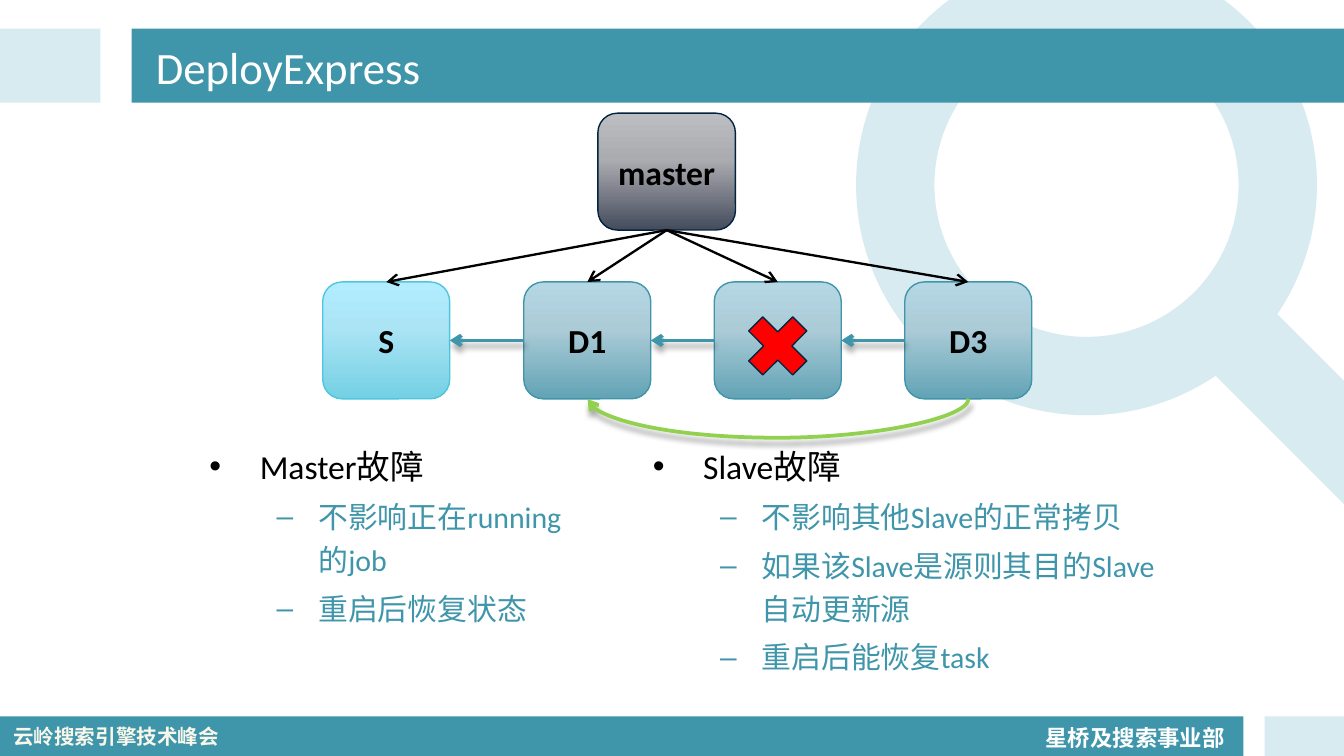
from copy import deepcopy

from lxml import etree
from pptx import Presentation
from pptx.dml.color import RGBColor
from pptx.enum.shapes import MSO_CONNECTOR, MSO_SHAPE
from pptx.enum.text import MSO_ANCHOR, PP_ALIGN
from pptx.oxml.ns import qn
from pptx.util import Cm, Pt

RECT, ROUNDED = MSO_SHAPE.RECTANGLE, MSO_SHAPE.ROUNDED_RECTANGLE
DONUT, CROSS = MSO_SHAPE.DONUT, MSO_SHAPE.MATH_MULTIPLY
STRAIGHT, CURVE = MSO_CONNECTOR.STRAIGHT, MSO_CONNECTOR.CURVE
LEFT, CENTER = PP_ALIGN.LEFT, PP_ALIGN.CENTER
TOP, MIDDLE = MSO_ANCHOR.TOP, MSO_ANCHOR.MIDDLE
SITE_TOP, SITE_LEFT, SITE_BOTTOM, SITE_RIGHT = range(4)

COLORS = {
    "teal": "3F95AA", "pale": "D7EBF0", "white": "FFFFFF", "cream": "F9F7EA",
    "black": "000000", "navy": "022440", "cyan": "4EC6DE", "red": "FF0000",
    "green": "92D050",
}
GRADIENTS = {
    "source": ("B2EDFF", "AAE4F5", "74D0E4"),
    "copy": ("B5D7E4", "ABCBD7", "62A3B5"),
    "master": ("BBBDC1", "ABACB0", "444B5C"),
}
STOPS = (0, 0.4, 1)

# Content, lengths in cm
TITLE = "DeployExpress"
BARS = [
    (0, 13.54, 23.5, 0.75, "teal"),
    (23.9, 13.54, 1.5, 0.75, "pale"),
    (0, 0.54, 1.9, 1.4, "pale"),
    (2.49, 0.54, 22.91, 1.4, "teal"),
]
COPIES = ["D1", None, "D3"]  # the failed copy carries a cross instead of a label
NODE_TOP, NODE_WIDTH, NODE_HEIGHT = 5.33, 2.4, 2.21
FIRST_COPY, COPY_STEP = 9.9, 3.6
SAG, THIN = 0.74, 0.01
FAULTS = [
    ((3.71, 8.15, 7.19, 3.99), "Master故障",
     ["不影响正在running的job", "重启后恢复状态"]),
    ((12.09, 8.15, 10.21, 5), "Slave故障",
     ["不影响其他Slave的正常拷贝", "如果该Slave是源则其目的Slave自动更新源",
      "重启后能恢复task"]),
]

deck = Presentation()
deck.slide_width, deck.slide_height = Cm(25.4), Cm(14.29)
page = deck.slides.add_slide(deck.slide_layouts[5])


def rgb(name):
    return RGBColor.from_string(COLORS[name])


def lengths(values):
    return [Cm(value) for value in values]


def write(para, text, size, color, font="Calibri", bold=False, align=LEFT, spacing=None):
    para.alignment = align
    para.line_spacing = spacing
    span = para.add_run()
    span.text = text
    span.font.name, span.font.size, span.font.bold = font, Pt(size), bold
    span.font.color.rgb = rgb(color)


def add_box(place, wrap=True):
    box = page.shapes.add_textbox(*lengths(place))
    box.text_frame.word_wrap = wrap
    box.text_frame.vertical_anchor = TOP
    return box.text_frame


def add_shape(kind, place, fill=None, line=None):
    shape = page.shapes.add_shape(kind, *lengths(place))
    shape.shadow.inherit = False
    if fill:
        shape.fill.solid()
        shape.fill.fore_color.rgb = rgb(fill)
    if line:
        shape.line.color.rgb = rgb(line)
        shape.line.width = Pt(0.75)
    else:
        shape.line.fill.background()
    return shape


def add_node(text, place, gradient, line):
    node = add_shape(ROUNDED, place, line=line)
    node.fill.gradient()
    node.fill.gradient_angle = 270
    stop_list = next(node._element.spPr.iter(qn("a:gsLst")))
    stop_list.append(deepcopy(stop_list[-1]))
    for stop, position, color in zip(node.fill.gradient_stops, STOPS, GRADIENTS[gradient]):
        stop.position = position
        stop.color.rgb = RGBColor.from_string(color)
    if text:
        node.text_frame.vertical_anchor = MIDDLE
        write(node.text_frame.paragraphs[0], text, 18, "black", bold=True, align=CENTER)
    return node


def style_arrow(arrow, color, width, shadow=False):
    arrow.line.color.rgb = rgb(color)
    arrow.line.width = Pt(width)
    properties = arrow._element.spPr
    etree.SubElement(properties.find(qn("a:ln")), qn("a:tailEnd"), type="arrow")
    effects = etree.SubElement(properties, qn("a:effectLst"))
    if shadow:
        outer = etree.SubElement(effects, qn("a:outerShdw"), blurRad=str(Pt(3)),
                                 dist=str(Pt(3)), dir=str(80 * 60000), rotWithShape="0")
        tint = etree.SubElement(outer, qn("a:srgbClr"), val=COLORS["black"])
        etree.SubElement(tint, qn("a:alpha"), val="32000")


def connect(start, start_site, end, end_site, color, width, shadow=False):
    arrow = page.shapes.add_connector(STRAIGHT, 0, 0, 0, 0)
    arrow.begin_connect(start, start_site)
    arrow.end_connect(end, end_site)
    style_arrow(arrow, color, width, shadow)


def add_bullet(para, mark, margin, hang):
    properties = para._p.get_or_add_pPr()
    properties.set("marL", str(Cm(margin)))
    properties.set("indent", str(-Cm(hang)))
    etree.SubElement(properties, qn("a:buFont"), typeface="Arial")
    etree.SubElement(properties, qn("a:buChar"), char=mark)


# Magnifier and bars
lens = add_shape(DONUT, (16.18, -0.86, 8.71, 8.71), "pale")
lens.adjustments[0] = 0.17
handle = add_shape(ROUNDED, (22, 6.86, 5.44, 1.65), "pale")
handle.adjustments[0] = 0.5
handle.rotation = 45
for *place, color in BARS:
    add_shape(RECT, place, color)

# Footer
write(add_box((19.51, 13.46, 3.94, 0.84), wrap=False).paragraphs[0],
      "星桥及搜索事业部", 12, "white", bold=True, spacing=1.2)
write(add_box((0, 13.56, 4.5, 0.74)).paragraphs[0],
      "云岭搜索引擎技术峰会", 11, "cream", font="Noto Sans CJK SC", bold=True)

# Title, raised above its bar
title = page.shapes.title
title.left, title.top, title.width, title.height = lengths((2.69, 0.58, 21.44, 1.37))
title.text_frame.vertical_anchor = MIDDLE
write(title.text_frame.paragraphs[0], TITLE, 24, "white")
page.shapes._spTree.append(title._element)

# Fault lists
for place, heading, points in FAULTS:
    frame = add_box(place)
    para = frame.paragraphs[0]
    add_bullet(para, "•", 0.95, 0.95)
    write(para, heading, 18, "black", spacing=1.2)
    for point in points:
        para = frame.add_paragraph()
        para.level = 1
        add_bullet(para, "–", 2.06, 0.79)
        para.space_before = Pt(3)
        write(para, point, 16, "teal", spacing=1.2)

# Copy chain
nodes = [add_node("S", (6.1, NODE_TOP, NODE_WIDTH, NODE_HEIGHT), "source", "cyan")]
for index, label in enumerate(COPIES):
    left = FIRST_COPY + index * COPY_STEP
    nodes.append(add_node(label, (left, NODE_TOP, NODE_WIDTH, NODE_HEIGHT), "copy", "teal"))
for target, origin in zip(nodes, nodes[1:]):
    connect(origin, SITE_LEFT, target, SITE_RIGHT, "teal", 2, shadow=True)

# Master and its links
master = add_node("master", (11.3, 2.14, 2.6, NODE_HEIGHT), "master", "navy")
for node in nodes:
    connect(master, SITE_BOTTOM, node, SITE_TOP, "black", 1.25)

# Failed copy, bypassed by a curve from D3 to D1
middle = FIRST_COPY + COPY_STEP + NODE_WIDTH / 2
add_shape(CROSS, (middle - 0.8, 5.74, 1.6, 1.6), "red", "navy")
bottom = NODE_TOP + NODE_HEIGHT
bypass = page.shapes.add_connector(CURVE, *lengths(
    (middle, bottom - COPY_STEP, middle + THIN, bottom + COPY_STEP)))
style_arrow(bypass, "green", 2, shadow=True)
bypass._element.spPr.find(qn("a:xfrm")).set("rot", str(90 * 60000))
guides = bypass._element.spPr.find(qn("a:prstGeom")).get_or_add_avLst()
etree.SubElement(guides, qn("a:gd"), name="adj1", fmla=f"val {round(SAG / THIN * 100000)}")

deck.save("out.pptx")
